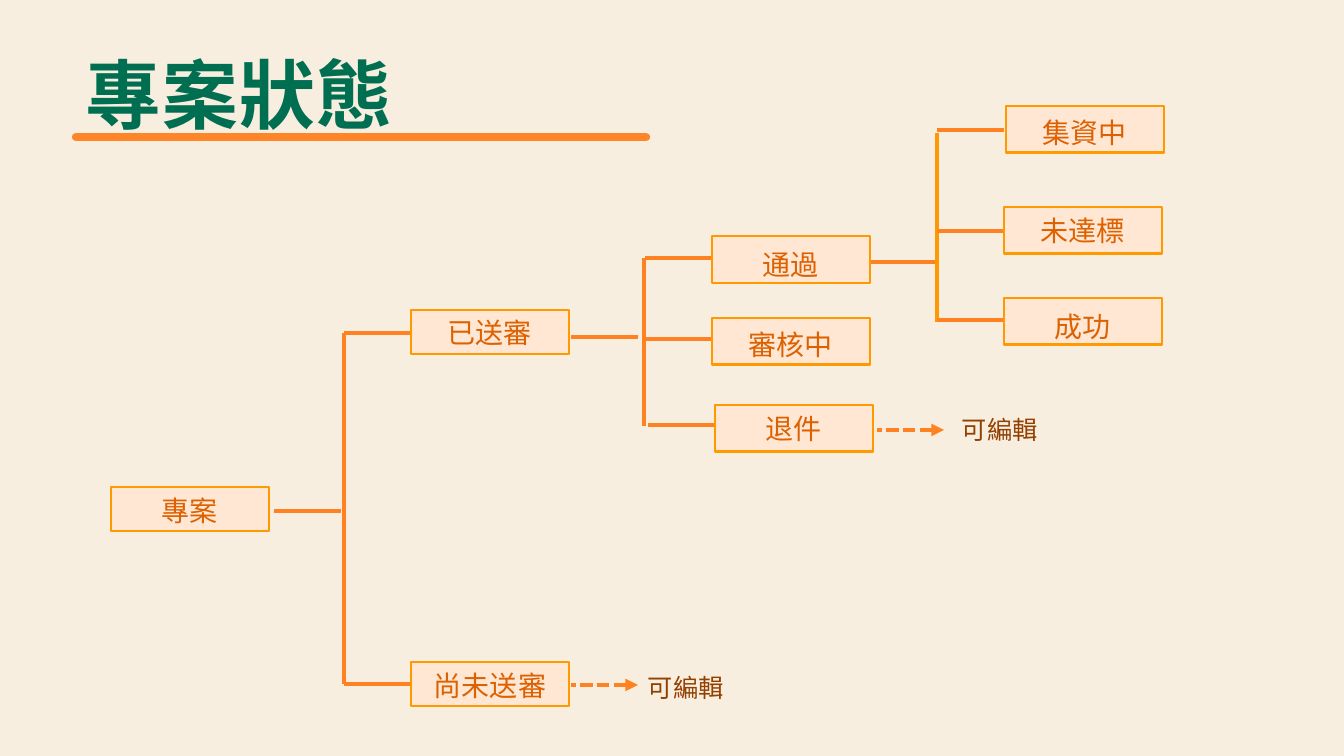
from pptx import Presentation
from pptx.dml.color import RGBColor
from pptx.enum.dml import MSO_LINE
from pptx.enum.shapes import MSO_CONNECTOR, MSO_SHAPE
from pptx.enum.text import MSO_ANCHOR, PP_ALIGN
from pptx.oxml.ns import qn
from pptx.util import Emu, Pt
from lxml.etree import SubElement


def px(length):
    return Emu(round(length * 914400 / 100.8))


def color(value):
    return RGBColor.from_string(value)


def apply(target, values):
    for name, value in values.items():
        setattr(target, name, value)


class Diagram:
    cjk = "Noto Sans CJK SC"
    cream, peach, amber = "F8EEE0", "FFE7D4", "FF9900"
    orange, rust, brown, green = "FF8222", "DD6100", "934000", "006E50"
    underline = "FF8628"

    def __init__(self, page):
        self.page = page
        page.background.fill.solid()
        page.background.fill.fore_color.rgb = color(self.cream)

    def add_words(self, frame, text, size, ink, font, bold=False):
        para = frame.paragraphs[0]
        span = para.add_run()
        span.text = text
        apply(span.font, {"size": Pt(size), "name": font, "bold": bold})
        span.font.color.rgb = color(ink)
        SubElement(span.font._element, qn("a:ea"), typeface=font)
        return para, span

    def node(self, text, left, top, height, drop=0):
        box = self.page.shapes.add_shape(
            MSO_SHAPE.RECTANGLE, px(left), px(top), px(158), px(height))
        box.shadow.inherit = False
        box.fill.solid()
        box.fill.fore_color.rgb = color(self.peach)
        box.line.color.rgb = color(self.amber)
        box.line.width = Pt(2)
        apply(box.text_frame, {
            "margin_left": 0, "margin_right": 0, "margin_top": px(2 * drop),
            "margin_bottom": 0, "vertical_anchor": MSO_ANCHOR.MIDDLE})
        para, span = self.add_words(box.text_frame, text, 20, self.rust, self.cjk)
        para.alignment = PP_ALIGN.CENTER

    def label(self, text, left, top, width, height, size, ink, font, bold=False):
        box = self.page.shapes.add_textbox(px(left), px(top), px(width), px(height))
        box.text_frame.word_wrap = False
        return self.add_words(box.text_frame, text, size, ink, font, bold)

    def title(self, text):
        para, span = self.label(text, 76, 36, 332, 104, 54, self.green, "Arial", True)
        para.line_spacing = Pt(70)
        span.font._element.set("spc", "100")
        rule = self.line(76, 137, 646, 137, self.underline, 6)
        rule.line._get_or_add_ln().set("cap", "rnd")

    def line(self, x1, y1, x2, y2, ink=orange, weight=3):
        link = self.page.shapes.add_connector(
            MSO_CONNECTOR.STRAIGHT, px(x1), px(y1), px(x2), px(y2))
        link.line.color.rgb = color(ink)
        link.line.width = Pt(weight)
        SubElement(link._element.spPr, qn("a:effectLst"))
        return link

    def arrow(self, tip, end, y):
        link = self.line(tip, y, end, y)
        link.line.dash_style = MSO_LINE.SQUARE_DOT
        SubElement(link.line._get_or_add_ln(), qn("a:headEnd"), type="triangle")

    def note(self, text, left, top):
        self.label(text, left, top, 97, 40, 18, self.brown, self.cjk)


def main():
    deck = Presentation()
    apply(deck, {"slide_width": px(1344), "slide_height": px(756)})
    diagram = Diagram(deck.slides.add_slide(deck.slide_layouts[6]))

    diagram.title("專案狀態")

    stems = [(274, 341, 511), (571, 638, 337), (870, 937, 262)]
    for start, end, y in stems:
        diagram.line(start, y, end, y)

    trunks = [
        (344, 333, 684, Diagram.orange, [(344, 411, 333), (344, 411, 684)]),
        (644, 258, 426, Diagram.orange,
         [(645, 712, 258), (646, 713, 339), (648, 716, 425)]),
        (937, 133, 322, Diagram.amber,
         [(937, 1004, 130), (937, 1004, 231), (937, 1004, 320)]),
    ]
    for x, top, bottom, ink, branches in trunks:
        diagram.line(x, top, x, bottom, ink)
        for start, end, y in branches:
            diagram.line(start, y, end, y)

    nodes = [
        ("專案", 111, 487, 44, 1),
        ("已送審", 411, 310, 44),
        ("尚未送審", 411, 662, 44, 1),
        ("通過", 712, 236, 47, 5),
        ("審核中", 712, 318, 47, 3),
        ("退件", 715, 405, 47),
        ("集資中", 1006, 106, 47, 3),
        ("未達標", 1004, 207, 47),
        ("成功", 1004, 298, 47, 5),
    ]
    for node in nodes:
        diagram.node(*node)

    for tip, end, y, left, top in [(944, 877, 430, 952, 409), (638, 571, 685, 638, 667)]:
        diagram.arrow(tip, end, y)
        diagram.note("可編輯", left, top)

    deck.save("out.pptx")


if __name__ == "__main__":
    main()
